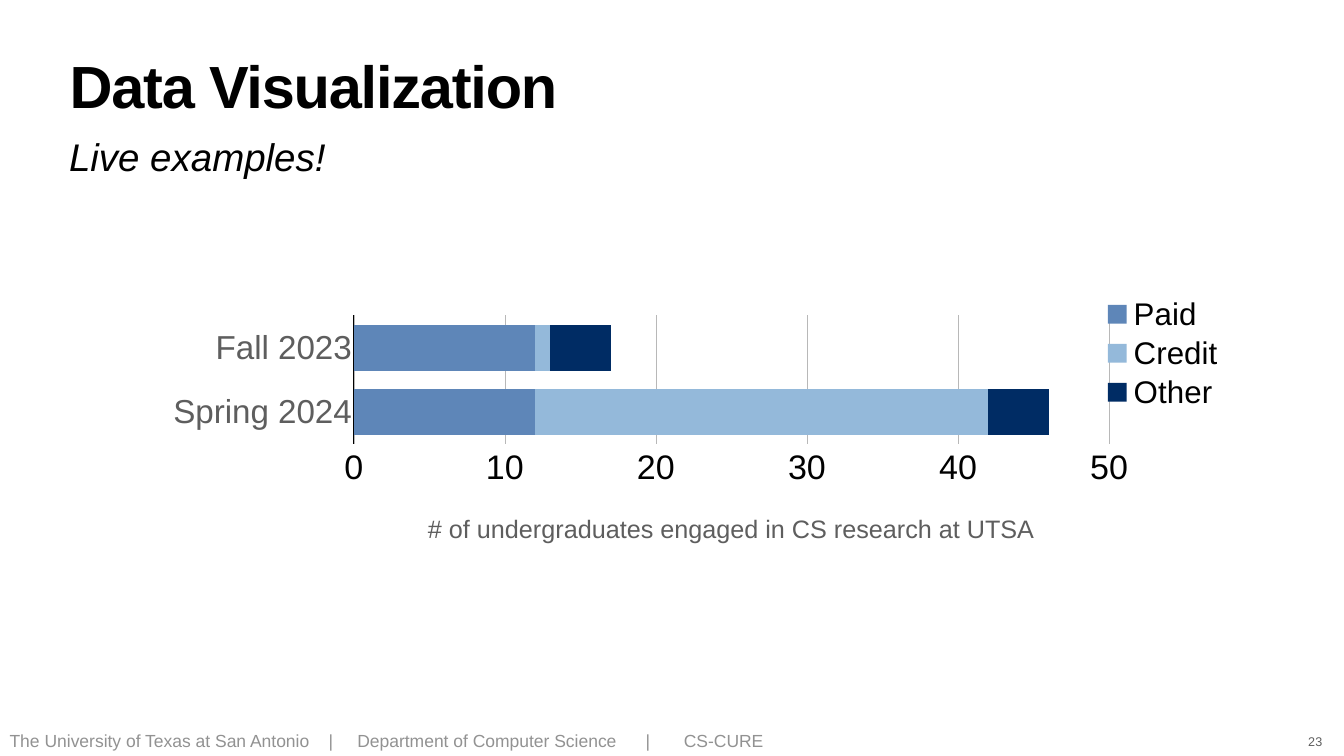
from dataclasses import dataclass

from lxml import etree
from pptx import Presentation
from pptx import util as u
from pptx.chart.data import CategoryChartData
from pptx.dml.color import RGBColor
from pptx.enum import chart as charts, shapes, text
from pptx.oxml import parse_xml
from pptx.oxml.ns import nsdecls, qn


@dataclass(frozen=True)
class Theme:
    """Fonts, colours and type sizes of the deck."""
    face: str = "Arial"
    ink: str = "000000"
    muted: str = "5E5E5E"
    faint: str = "929292"
    grid: str = "B8B8B8"
    series: tuple = ("5E86B8", "94B9DA", "002C64")
    title: float = 85
    subtitle: float = 55
    caption: float = 36
    footer: float = 25
    number: float = 18
    categories: float = 47.4
    values: float = 48.6
    legend: float = 44.7


THEME = Theme()
ENGAGEMENT = {"Paid": (12, 12), "Credit": (1, 30), "Other": (4, 4)}


def style_font(font, size, color, **traits):
    """Apply the deck face, a size, a colour and any further traits."""
    for trait, value in {"name": THEME.face, "size": u.Pt(size), **traits}.items():
        setattr(font, trait, value)
    font.color.rgb = RGBColor.from_string(color)


def write_text(holder, words, size, color, inset=0.06, frame=None, paragraph=None, **traits):
    """Write one styled paragraph into a shape and return that paragraph."""
    text_frame = holder.text_frame
    margins = {f"margin_{side}": u.Inches(inset) for side in ("left", "top", "right", "bottom")}
    for key, value in {"word_wrap": True, **margins, **(frame or {})}.items():
        setattr(text_frame, key, value)
    line = text_frame.paragraphs[0]
    for key, value in (paragraph or {}).items():
        setattr(line, key, value)
    run = line.add_run()
    run.text = words
    style_font(run.font, size, color, **traits)
    return line


def add_text(slide, box, *content, **formats):
    """Place a text box with one styled paragraph."""
    return write_text(slide.shapes.add_textbox(*map(u.Inches, box)), *content, **formats)


def add_heading(slide, left, top, width):
    """Place the title with its subtitle below."""
    title = add_text(slide, (left, top, width, 1.57), "Data Visualization", THEME.title,
                     THEME.ink, paragraph={"line_spacing": 0.8}, bold=True)
    title.runs[0].font._element.set("spc", "-170")
    add_text(slide, (left, top + 1.41, width, 1.02), "Live examples!", THEME.subtitle,
             THEME.ink, inset=0.05, italic=True)


def add_footer(slide, left, top, width, height):
    """Place the tabbed affiliation line and the slide number."""
    parts = ("The University of Texas at San Antonio", "|",
             "Department of Computer Science", "|", "CS-CURE")
    affiliation = add_text(slide, (left, top, width, height), "\t".join(parts), THEME.footer,
                           THEME.faint, frame={"vertical_anchor": text.MSO_ANCHOR.MIDDLE},
                           paragraph={"line_spacing": 0.9})
    tabs = etree.SubElement(affiliation._p.get_or_add_pPr(), qn("a:tabLst"))
    for stop in (6.33, 6.9, 12.62, 13.38):
        etree.SubElement(tabs, qn("a:tab"), pos=str(u.Inches(stop)), algn="l")
    add_text(slide, (left + 25.77, top + 0.06, 0.4, 0.41), "23", THEME.number, THEME.muted,
             frame={"word_wrap": False, "vertical_anchor": text.MSO_ANCHOR.BOTTOM},
             paragraph={"alignment": text.PP_ALIGN.CENTER})


def set_layout(part, index, target, **fractions):
    """Fix a chart part at fractions of the chart area."""
    for former in part.findall(qn("c:layout")):
        part.remove(former)
    layout = parse_xml(f"<c:layout {nsdecls('c')}><c:manualLayout/></c:layout>")
    settings = {"layoutTarget": target, "xMode": "edge", "yMode": "edge", **fractions}
    for tag, value in settings.items():
        if value is not None:
            etree.SubElement(layout[0], qn(f"c:{tag}"), val=str(value))
    part.insert(index, layout)


def style_axes(chart):
    """Style the category and value axes."""
    common = {"major_tick_mark": charts.XL_TICK_MARK.NONE,
              "minor_tick_mark": charts.XL_TICK_MARK.NONE}
    category, value = chart.category_axis, chart.value_axis
    formats = {
        category: {"reverse_order": True},
        value: {"minimum_scale": 0, "maximum_scale": 50, "major_unit": 10,
                "has_major_gridlines": True,
                "tick_label_position": charts.XL_TICK_LABEL_POSITION.HIGH},
    }
    for axis, settings in formats.items():
        for key, setting in {**common, **settings}.items():
            setattr(axis, key, setting)
    style_font(category.tick_labels.font, THEME.categories, THEME.muted)
    style_font(value.tick_labels.font, THEME.values, THEME.ink)
    value.format.line.fill.background()
    for line, color, weight in ((category.format.line, THEME.ink, 1),
                                (value.major_gridlines.format.line, THEME.grid, 0.25)):
        line.color.rgb = RGBColor.from_string(color)
        line.width = u.Pt(weight)


def add_caption(slide, left, top, width, height):
    """Place the centred caption of the chart."""
    caption = slide.shapes.add_shape(shapes.MSO_SHAPE.ROUNDED_RECTANGLE,
                                     *map(u.Inches, (left, top, width, height)))
    caption.adjustments[0] = 0
    caption.shadow.inherit = False
    caption.fill.background()
    caption.line.fill.background()
    write_text(caption, "# of undergraduates engaged in CS research at UTSA",
               THEME.caption, THEME.muted,
               frame={"vertical_anchor": text.MSO_ANCHOR.MIDDLE},
               paragraph={"alignment": text.PP_ALIGN.CENTER})


def add_engagement(slide, left, top, width, height):
    """Place the stacked bar chart with its caption below."""
    data = CategoryChartData()
    data.categories = ("Fall 2023", "Spring 2024")
    for kind, counts in ENGAGEMENT.items():
        data.add_series(kind, counts)
    chart = slide.shapes.add_chart(charts.XL_CHART_TYPE.BAR_STACKED,
                                   *map(u.Inches, (left, top, width, height)), data).chart
    style_font(chart.font, 10, THEME.ink)
    chart.has_title = False
    style_axes(chart)

    bars = chart.plots[0]
    for key, value in {"gap_width": 40, "overlap": 100, "vary_by_categories": False}.items():
        setattr(bars, key, value)
    for series, color in zip(bars.series, THEME.series):
        series.format.fill.solid()
        series.format.fill.fore_color.rgb = RGBColor.from_string(color)

    chart.has_legend = True
    chart.legend.position = charts.XL_LEGEND_POSITION.RIGHT
    chart.legend.include_in_layout = True
    style_font(chart.legend.font, THEME.legend, THEME.ink)
    set_layout(chart.legend._element, 1, None,
               x=18.8 / width, y=0.3 / height, w=2.61 / width, h=2.4 / height)
    plot_area = chart._chartSpace.chart.plotArea
    set_layout(plot_area, 0, "inner",
               x=4.05 / width, y=0.75 / height, w=14.99 / width, h=2.55 / height)
    add_caption(slide, left + 4.05, top + height + 0.11, 14.98, 0.69)


def main():
    """Build and save the slide."""
    deck = Presentation()
    deck.slide_width, deck.slide_height = u.Inches(26.67), u.Inches(15)
    slide = deck.slides.add_slide(deck.slide_layouts[6])
    add_footer(slide, 0.13, 14.45, 25.48, 0.52)
    add_heading(slide, 1.32, 1.18, 24.03)
    add_engagement(slide, 2.97, 5.51, 21.77, 4.52)
    deck.save("out.pptx")


if __name__ == "__main__":
    main()
